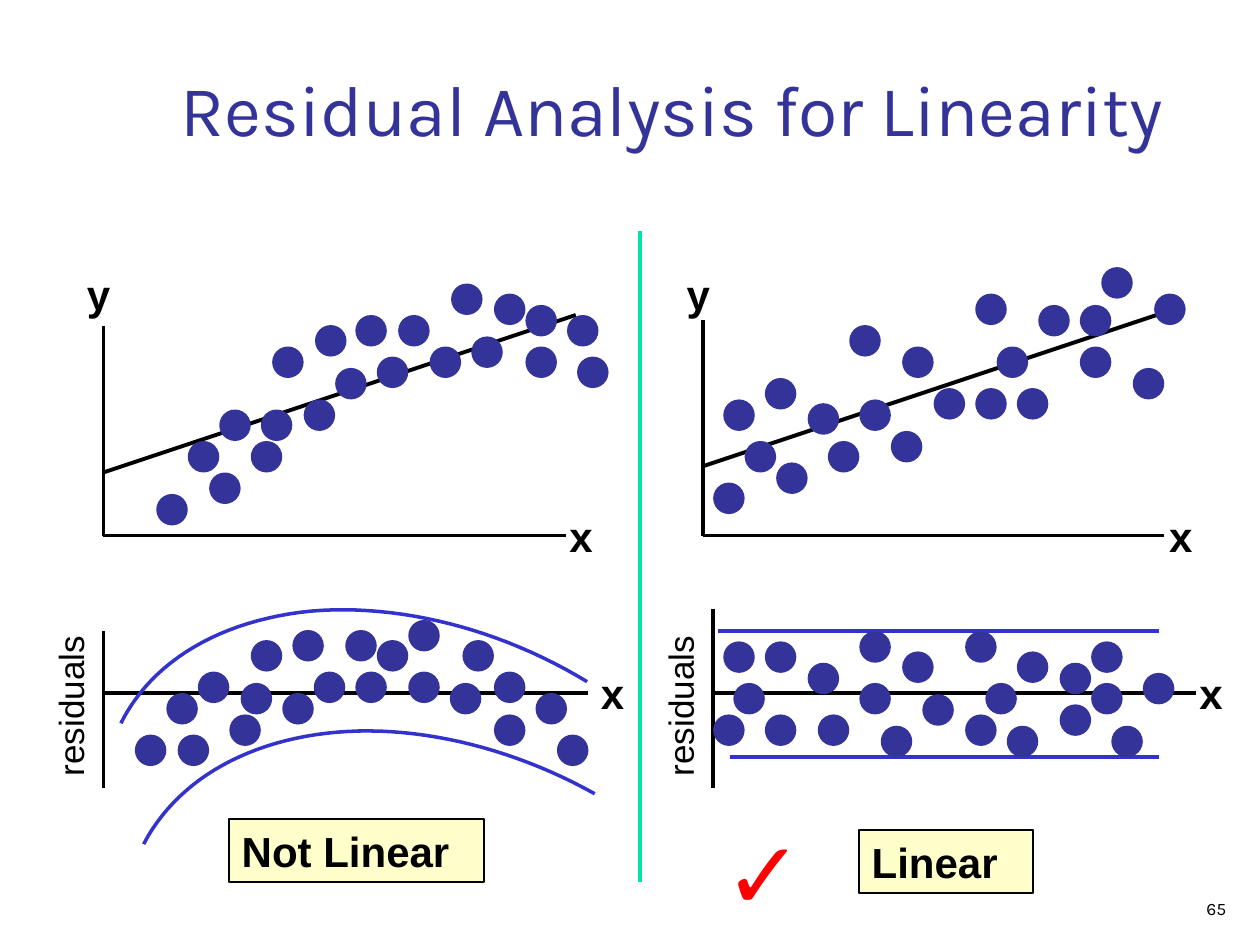
from lxml.etree import SubElement
from pptx import Presentation
from pptx.dml.color import RGBColor
from pptx.enum.shapes import MSO_CONNECTOR, MSO_SHAPE
from pptx.enum.text import MSO_ANCHOR, PP_ALIGN
from pptx.oxml.ns import qn
from pptx.util import Pt

PX = 9144  # 100 px to the inch
DOT = 25
COLORS = {"navy": "333399", "curve": "3333CC", "cream": "FFFFCC", "black": "000000",
          "red": "FF0000", "green": "00E4A8"}

# Top left corner of each dot, from the top left of its plot
CURVED_SCATTER = [
    (42, 192), (84, 175), (234, 50), (259, 75), (310, 33), (117, 150), (292, 67),
    (335, 75), (335, 42), (368, 50), (276, 25), (184, 92), (200, 50), (168, 58),
    (67, 150), (92, 125), (125, 125), (217, 83), (134, 75), (376, 83), (159, 117)]
LINEAR_SCATTER = [
    (8, 183), (33, 150), (216, 33), (233, 75), (299, 42), (58, 167), (249, 108),
    (299, 75), (316, 12), (266, 42), (149, 142), (158, 75), (116, 58), (16, 117),
    (49, 100), (83, 120), (183, 108), (124, 117), (341, 92), (99, 150), (358, 33),
    (216, 108)]
CURVED_RESIDUALS = [
    (25, 100), (59, 100), (217, 25), (242, 9), (275, 59), (100, 84), (285, 25),
    (310, 84), (310, 50), (343, 67), (242, 50), (167, 50), (192, 17), (150, 17),
    (50, 67), (75, 50), (109, 59), (200, 50), (117, 25), (360, 100), (142, 67)]
LINEAR_RESIDUALS = [
    (75, 43), (41, 26), (0, 84), (16, 59), (8, 26), (116, 59), (116, 18), (41, 84),
    (200, 18), (150, 34), (133, 93), (83, 84), (275, 43), (200, 84), (166, 68),
    (275, 76), (216, 59), (233, 93), (241, 34), (316, 93), (300, 26), (341, 51),
    (300, 59)]

# Start point, then two control points and an end point for each cubic
CURVED_BOUNDS = [
    [(14, 91), (39, 41), (94, 9), (165, 2), (235, -4), (315, 16), (384, 58)],
    [(32, 187), (57, 139), (109, 107), (177, 99), (244, 91), (322, 109), (390, 147)]]
LINEAR_BOUNDS = [[(4, 18), (354, 18)], [(13, 118), (354, 118)]]


def rgb(name):
    return RGBColor.from_string(COLORS[name])


def emu(*lengths):
    return [round(v * PX) for v in lengths]


def write(sp, text, size, color="black", font="Arial", bold=False,
          align=PP_ALIGN.LEFT, anchor=MSO_ANCHOR.TOP, wrap=True):
    tf = sp.text_frame
    tf.word_wrap, tf.vertical_anchor = wrap, anchor
    p = tf.paragraphs[0]
    p.alignment = align
    r = p.add_run()
    r.text = text
    for name, value in {"size": Pt(size), "name": font, "bold": bold}.items():
        setattr(r.font, name, value)
    r.font.color.rgb = rgb(color)


def add_text(s, box, text, size, rotation=0, **fmt):
    sp = s.shapes.add_textbox(*emu(*box))
    sp.rotation = rotation
    write(sp, text, size, **fmt)


def add_line(s, start, end, color="black", width=2):
    sp = s.shapes.add_connector(MSO_CONNECTOR.STRAIGHT, *emu(*start, *end))
    sp.line.color.rgb = rgb(color)
    sp.line.width = Pt(width)
    SubElement(sp._element.spPr, qn("a:effectLst"))


def add_dots(s, x, y, dots):
    for dx, dy in dots:
        sp = s.shapes.add_shape(MSO_SHAPE.OVAL, *emu(x + dx, y + dy, DOT, DOT))
        sp.shadow.inherit = False
        sp.fill.solid()
        sp.fill.fore_color.rgb = rgb("navy")
        sp.line.fill.background()


def sample_cubics(points, steps=24):
    """Return points along a chain of cubic Bezier segments."""
    out = [points[0]]
    for i in range(0, len(points) - 1, 3):
        for k in range(1, steps + 1):
            t = k / steps
            weights = ((1 - t) ** 3, 3 * t * (1 - t) ** 2, 3 * t * t * (1 - t), t ** 3)
            out.append(tuple(sum(w * pt[axis] for w, pt in zip(weights, points[i:i + 4]))
                             for axis in (0, 1)))
    return out


def add_curve(s, x, y, points):
    outline = [emu(x + dx, y + dy) for dx, dy in sample_cubics(points)]
    builder = s.shapes.build_freeform(*outline[0])
    builder.add_line_segments(outline[1:], close=False)
    sp = builder.convert_to_shape()
    sp.shadow.inherit = False
    sp.fill.background()
    sp.line.color.rgb = rgb("curve")
    sp.line.width = Pt(2)


def scatter_plot(s, box, axis_top, trend_start, dots):
    x, y, w, h = box
    add_line(s, (x, y + axis_top), (x, y + h))
    add_line(s, (x, y + h), (x + w, y + h))
    add_line(s, (x, y + trend_start), (x + 375, y + trend_start - 125), width=2.25)
    add_dots(s, x, y, dots)
    add_text(s, (x - 23, y + 8, 38, 50), "y", 24, bold=True, wrap=False)
    add_text(s, (x + 360, y + h - 25, 45, 50), "x", 24, bold=True)


def residual_plot(s, box, axis_top, label_x, bounds, dots):
    x, y, w, h = box
    add_line(s, (x, y + axis_top), (x, y + h))
    add_line(s, (x, y + 67), (x + w, y + 67))
    for points in bounds:
        if len(points) == 2:
            add_line(s, *[(x + dx, y + dy) for dx, dy in points], color="curve")
        else:
            add_curve(s, x, y, points)
    add_dots(s, x, y, dots)
    add_text(s, (x + label_x, y + 42, 43, 50), "x", 24, bold=True)
    add_text(s, (x - 98, y + 50, 143, 43), "residuals", 20, rotation=270)


def verdict(s, box, text):
    sp = s.shapes.add_shape(MSO_SHAPE.RECTANGLE, *emu(*box))
    sp.shadow.inherit = False
    sp.fill.solid()
    sp.fill.fore_color.rgb = rgb("cream")
    sp.line.color.rgb = rgb("black")
    sp.line.width = Pt(1)
    write(sp, text, 24, bold=True)


def linearity_slide(prs):
    s = prs.slides.add_slide(prs.slide_layouts[6])
    add_text(s, (108, 42, 852, 83), "Residual Analysis for Linearity", 41, color="navy",
             font="Karla", align=PP_ALIGN.CENTER, anchor=MSO_ANCHOR.BOTTOM)
    verdict(s, (182, 650, 202, 50), "Not Linear")
    verdict(s, (682, 659, 138, 50), "Linear")
    add_text(s, (565, 642, 143, 100), "✓", 54, color="red")
    residual_plot(s, (82, 483, 385, 142), 18, 385, CURVED_BOUNDS, CURVED_RESIDUALS)
    residual_plot(s, (566, 483, 383, 142), 0, 376, LINEAR_BOUNDS, LINEAR_RESIDUALS)
    scatter_plot(s, (82, 200, 367, 225), 59, 175, CURVED_SCATTER)
    scatter_plot(s, (558, 200, 366, 225), 54, 170, LINEAR_SCATTER)
    add_line(s, (508, 183), (508, 700), color="green", width=2.25)
    add_text(s, (775, 700, 208, 34), "65", 10, font="Karla",
             align=PP_ALIGN.RIGHT, anchor=MSO_ANCHOR.BOTTOM)


def main():
    prs = Presentation()
    prs.slide_width, prs.slide_height = emu(1000, 750)
    linearity_slide(prs)
    prs.save("out.pptx")


if __name__ == "__main__":
    main()
